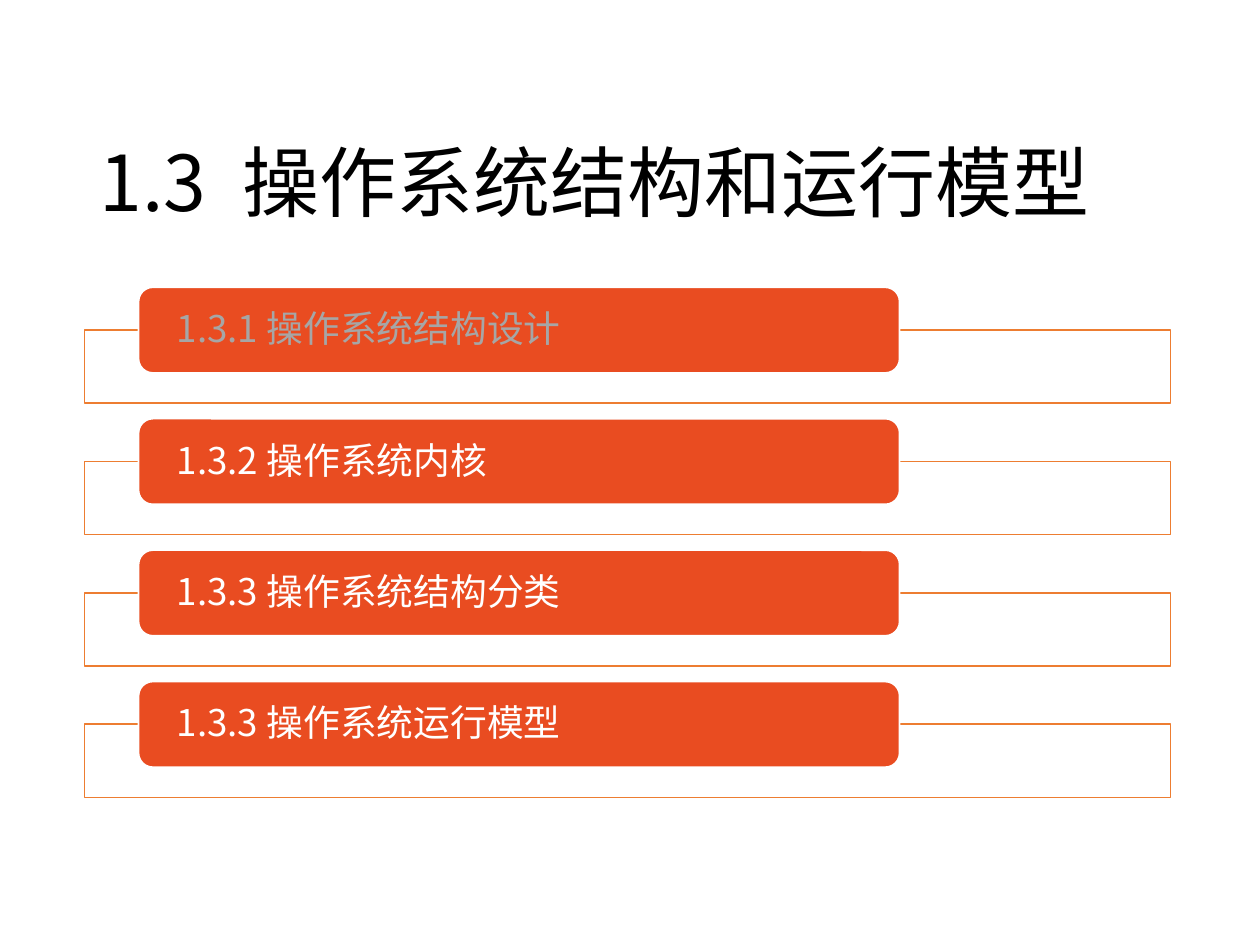
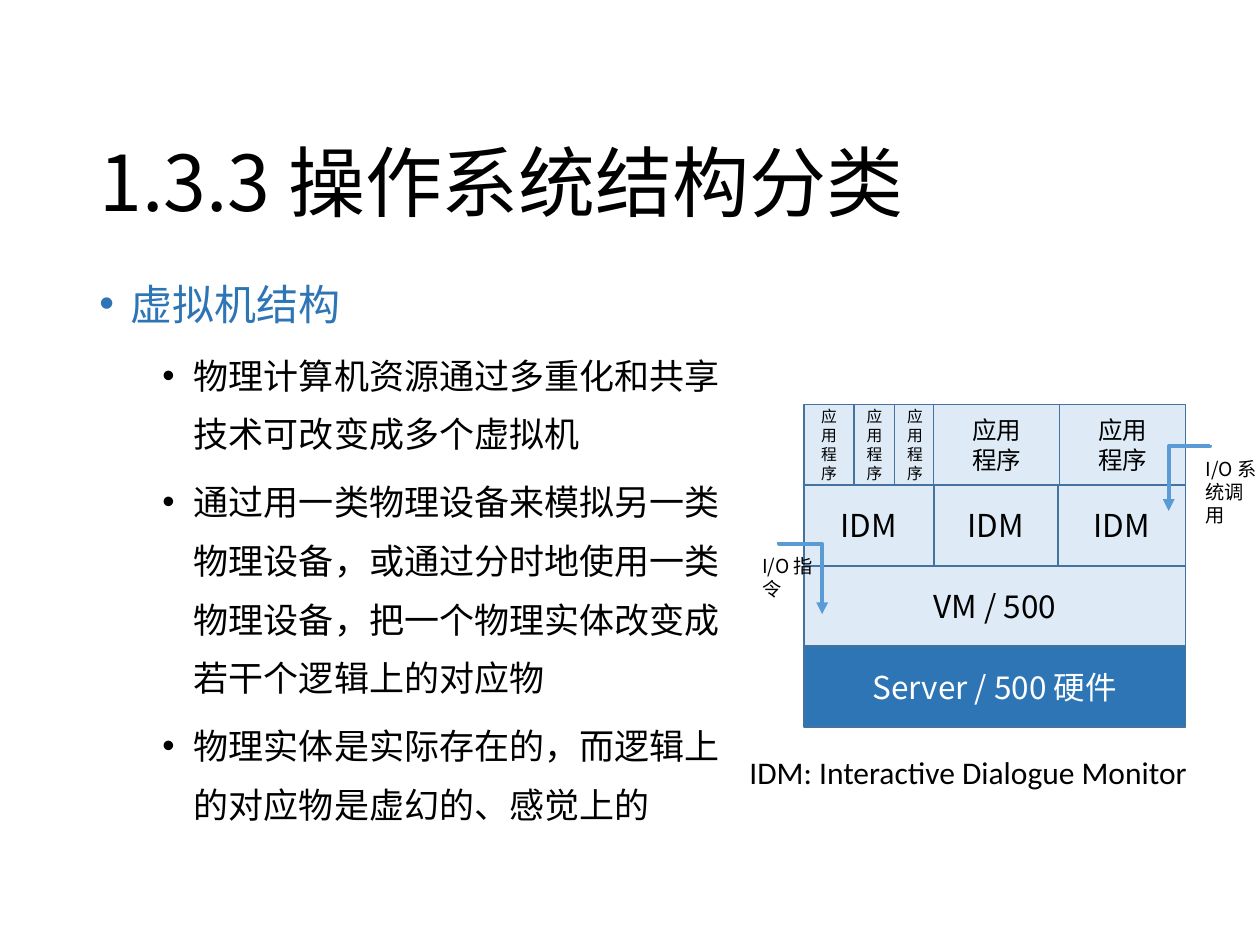
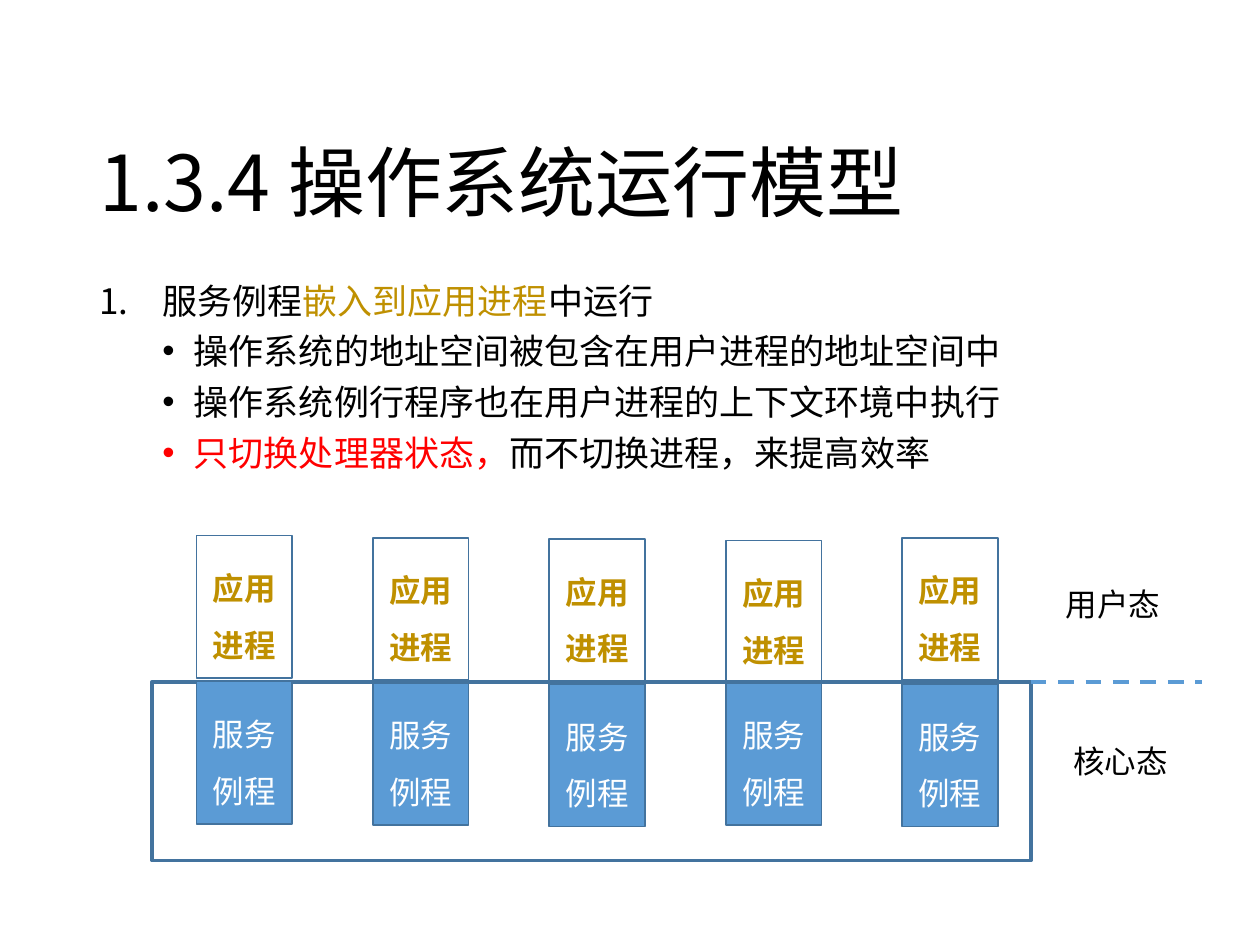
from dataclasses import dataclass

from lxml.etree import SubElement
from pptx import Presentation
from pptx.dml.color import RGBColor
from pptx.enum.dml import MSO_LINE
from pptx.enum.shapes import MSO_CONNECTOR, MSO_SHAPE
from pptx.enum.text import MSO_ANCHOR, PP_ALIGN
from pptx.oxml.ns import qn
from pptx.util import Inches, Pt


@dataclass(frozen=True)
class Theme:
    font: str = "Noto Sans CJK SC"
    latin_font: str = "Calibri"
    black: str = "000000"
    white: str = "FFFFFF"
    grey: str = "A6A6A6"
    red: str = "FF0000"
    gold: str = "BF9000"
    orange: str = "E94C21"
    orange_line: str = "ED7D31"
    blue: str = "5B9BD5"
    deep_blue: str = "2E75B6"
    pale_blue: str = "DEEBF7"
    blue_line: str = "43739E"
    title_size: int = 44
    heading_size: int = 24
    agenda_size: int = 21
    body_size: int = 20
    label_size: int = 18
    cell_size: int = 14
    note_size: int = 11
    small_size: int = 9
    leading: float = 1.2


theme = Theme()


def write_text(frame, text, size=theme.label_size, color=theme.black, font=theme.font,
               bold=False, align=PP_ALIGN.LEFT, anchor=MSO_ANCHOR.TOP, spacing=1,
               before=0, bullet=None, left=0, hanging=0, wrap=True, inset=0.1,
               append=False):
    frame.word_wrap = wrap
    frame.vertical_anchor = anchor
    frame.margin_left = frame.margin_right = Inches(inset)
    frame.margin_top = frame.margin_bottom = Inches(0.05)
    lines = [text] if isinstance(text, list) else text.split("\n")
    for index, line in enumerate(lines):
        is_first = index == 0 and not append
        paragraph = frame.paragraphs[0] if is_first else frame.add_paragraph()
        properties = paragraph._p.get_or_add_pPr()
        if bullet:
            properties.set("marL", str(Inches(left)))
            properties.set("indent", str(-Inches(hanging)))
            if bullet == "1.":
                SubElement(properties, qn("a:buFont"), typeface="+mj-lt")
                SubElement(properties, qn("a:buAutoNum"), type="arabicPeriod")
            else:
                SubElement(properties, qn("a:buFont"), typeface="Arial")
                SubElement(properties, qn("a:buChar"), char=bullet)
        paragraph.alignment = align
        paragraph.line_spacing = Pt(round(size * theme.leading * spacing, 1))
        paragraph.space_before = Pt(0 if is_first else before)
        for words, run_color in line if isinstance(line, list) else [(line, color)]:
            run = paragraph.add_run()
            run.text = words
            run.font.size = Pt(size)
            run.font.bold = bold
            run.font.name = font
            run.font.color.rgb = RGBColor.from_string(run_color)
            SubElement(run.font._element, qn("a:ea"), typeface=font)


def add_box(slide, left, top, width, height, fill=None, line=theme.blue_line,
            line_width=1, preset=MSO_SHAPE.RECTANGLE):
    shape = slide.shapes.add_shape(
        preset, Inches(left), Inches(top), Inches(width), Inches(height))
    shape.shadow.inherit = False
    if fill:
        shape.fill.solid()
        shape.fill.fore_color.rgb = RGBColor.from_string(fill)
    else:
        shape.fill.background()
    shape.line.color.rgb = RGBColor.from_string(line)
    shape.line.width = Pt(line_width)
    return shape


presentation = Presentation()
presentation.slide_width = Inches(10)
presentation.slide_height = Inches(7.5)
margin, content_width = 0.69, 8.62

slides = []
for title in ["1.3\t 操作系统结构和运行模型", "1.3.3 操作系统结构分类", "1.3.4 操作系统运行模型"]:
    slide = presentation.slides.add_slide(presentation.slide_layouts[5])
    placeholder = slide.shapes.title
    placeholder.left, placeholder.top = Inches(margin), Inches(0.4)
    placeholder.width, placeholder.height = Inches(content_width), Inches(1.45)
    write_text(placeholder.text_frame, title, size=theme.title_size, spacing=0.9,
               anchor=MSO_ANCHOR.BOTTOM)
    slides.append(slide)
agenda_slide, structure_slide, model_slide = slides

agenda = [
    ("1.3.1 操作系统结构设计", theme.grey),
    ("1.3.2 操作系统内核", theme.white),
    ("1.3.3 操作系统结构分类", theme.white),
    ("1.3.3 操作系统运行模型", theme.white),
]
agenda_top, agenda_pitch = 2.28, 1.043
for row, (entry, color) in enumerate(agenda):
    top = agenda_top + row * agenda_pitch
    add_box(agenda_slide, 0.67, top + 0.34, content_width, 0.58,
            fill=theme.white, line=theme.orange_line)
    bar = add_box(agenda_slide, 1.1, top, 6.04, 0.68, fill=theme.orange,
                  line=theme.white, preset=MSO_SHAPE.ROUNDED_RECTANGLE)
    write_text(bar.text_frame, entry, size=theme.agenda_size, color=color,
               spacing=0.9, anchor=MSO_ANCHOR.MIDDLE, inset=0.27)

body = structure_slide.shapes.add_textbox(
    Inches(margin), Inches(2), Inches(5.32), Inches(4.76)).text_frame
write_text(body, "虚拟机结构", size=theme.heading_size, color=theme.deep_blue,
           spacing=1.4, bullet="•", left=0.25, hanging=0.25)
for point in [
    "物理计算机资源通过多重化和共享技术可改变成多个虚拟机",
    "通过用一类物理设备来模拟另一类物理设备，或通过分时地使用一类物理设备，把一个物理实体改变成若干个逻辑上的对应物",
    "物理实体是实际存在的，而逻辑上的对应物是虚幻的、感觉上的",
]:
    write_text(body, point, size=theme.body_size, spacing=1.4, before=5,
               bullet="•", left=0.75, hanging=0.25, append=True)

stack_left, stack_top, layer_height = 6.38, 3.21, 0.64
application = "应用\n程序"
layers = [
    [(application, 0.4, theme.small_size), (application, 0.32, theme.small_size),
     (application, 0.31, theme.small_size), (application, 1, theme.cell_size),
     (application, 1, theme.cell_size)],
    [("IDM", 1.03, theme.label_size), ("IDM", 0.99, theme.label_size),
     ("IDM", 1.01, theme.label_size)],
    [("VM / 500", 3.03, theme.label_size)],
    [("Server / 500 硬件", 3.03, theme.label_size)],
]
for row, layer in enumerate(layers):
    is_hardware = row == len(layers) - 1
    left = stack_left
    for label, width, size in layer:
        cell = add_box(structure_slide, left, stack_top + row * layer_height,
                       width, layer_height,
                       fill=theme.deep_blue if is_hardware else theme.pale_blue)
        write_text(cell.text_frame, label, size=size,
                   color=theme.white if is_hardware else theme.black,
                   align=PP_ALIGN.CENTER, anchor=MSO_ANCHOR.MIDDLE)
        left += width

for start_x, start_y, end_x, end_y, rotation, bend in [
    (9.18, 3.63, 9.7, 3.96, 90, 1100),
    (6.64, 4.42, 6.07, 4.76, 270, 2100),
]:
    arrow = structure_slide.shapes.add_connector(
        MSO_CONNECTOR.ELBOW, Inches(start_x), Inches(start_y), Inches(end_x), Inches(end_y))
    arrow.line.color.rgb = RGBColor.from_string(theme.blue)
    arrow.line.width = Pt(2.25)
    properties = arrow._element.spPr
    properties.find(qn("a:xfrm")).set("rot", str(rotation * 60000))
    geometry = properties.find(qn("a:prstGeom"))
    adjustments = geometry.find(qn("a:avLst"))
    if adjustments is None:
        adjustments = SubElement(geometry, qn("a:avLst"))
    SubElement(adjustments, qn("a:gd"), name="adj1", fmla=f"val {bend}")
    SubElement(properties.find(qn("a:ln")), qn("a:tailEnd"), type="triangle")
    SubElement(properties, qn("a:effectLst"))

body = model_slide.shapes.add_textbox(
    Inches(margin), Inches(2), Inches(content_width), Inches(1.89)).text_frame
write_text(body, [("服务例程", theme.black), ("嵌入到应用进程", theme.gold),
                  ("中运行", theme.black)],
           size=theme.body_size, spacing=1.5, bullet="1.", left=0.5, hanging=0.5)
for point in [
    "操作系统的地址空间被包含在用户进程的地址空间中",
    "操作系统例行程序也在用户进程的上下文环境中执行",
    [("只切换处理器状态，", theme.red), ("而不切换进程，来提高效率", theme.black)],
]:
    write_text(body, point, size=theme.body_size, before=5, bullet="•",
               left=0.75, hanging=0.25, append=True)

kernel_top = 5.41
add_box(model_slide, 1.21, kernel_top, 6.97, 1.42, line_width=2.25)
boundary = model_slide.shapes.add_connector(
    MSO_CONNECTOR.STRAIGHT, Inches(8.18), Inches(kernel_top), Inches(9.54), Inches(kernel_top))
boundary.line.color.rgb = RGBColor.from_string(theme.blue)
boundary.line.width = Pt(2.25)
boundary.line.dash_style = MSO_LINE.DASH
SubElement(boundary._element.spPr, qn("a:effectLst"))

process_left, process_pitch = 1.56, 1.4
for column, (process_top, service_top) in enumerate(
        [(4.25, 5.41), (4.27, 5.42), (4.28, 5.43), (4.29, 5.42), (4.27, 5.43)]):
    for label, top, fill, color, bold in [
        ("应用进程", process_top, None, theme.gold, True),
        ("服务例程", service_top, theme.blue, theme.white, False),
    ]:
        box = add_box(model_slide, process_left + column * process_pitch, top,
                      0.76, 1.13, fill=fill)
        write_text(box.text_frame, label, color=color, bold=bold, spacing=1.5,
                   align=PP_ALIGN.CENTER, anchor=MSO_ANCHOR.MIDDLE)

for slide, text, left, top, width, height, size, font, wrap in [
    (structure_slide, "IDM: Interactive Dialogue Monitor", 5.85, 5.93, 4, 0.4,
     theme.label_size, theme.latin_font, False),
    (structure_slide, "I/O 系统调用", 9.47, 3.58, 0.63, 0.66, theme.note_size, theme.font, True),
    (structure_slide, "I/O 指令", 5.95, 4.35, 0.63, 0.47, theme.note_size, theme.font, True),
    (model_slide, "用户态", 8.36, 4.59, 0.96, 0.4, theme.label_size, theme.font, False),
    (model_slide, "核心态", 8.42, 5.84, 0.96, 0.4, theme.label_size, theme.font, False),
]:
    label_box = slide.shapes.add_textbox(
        Inches(left), Inches(top), Inches(width), Inches(height))
    write_text(label_box.text_frame, text, size=size, font=font, wrap=wrap)

presentation.save("out.pptx")
